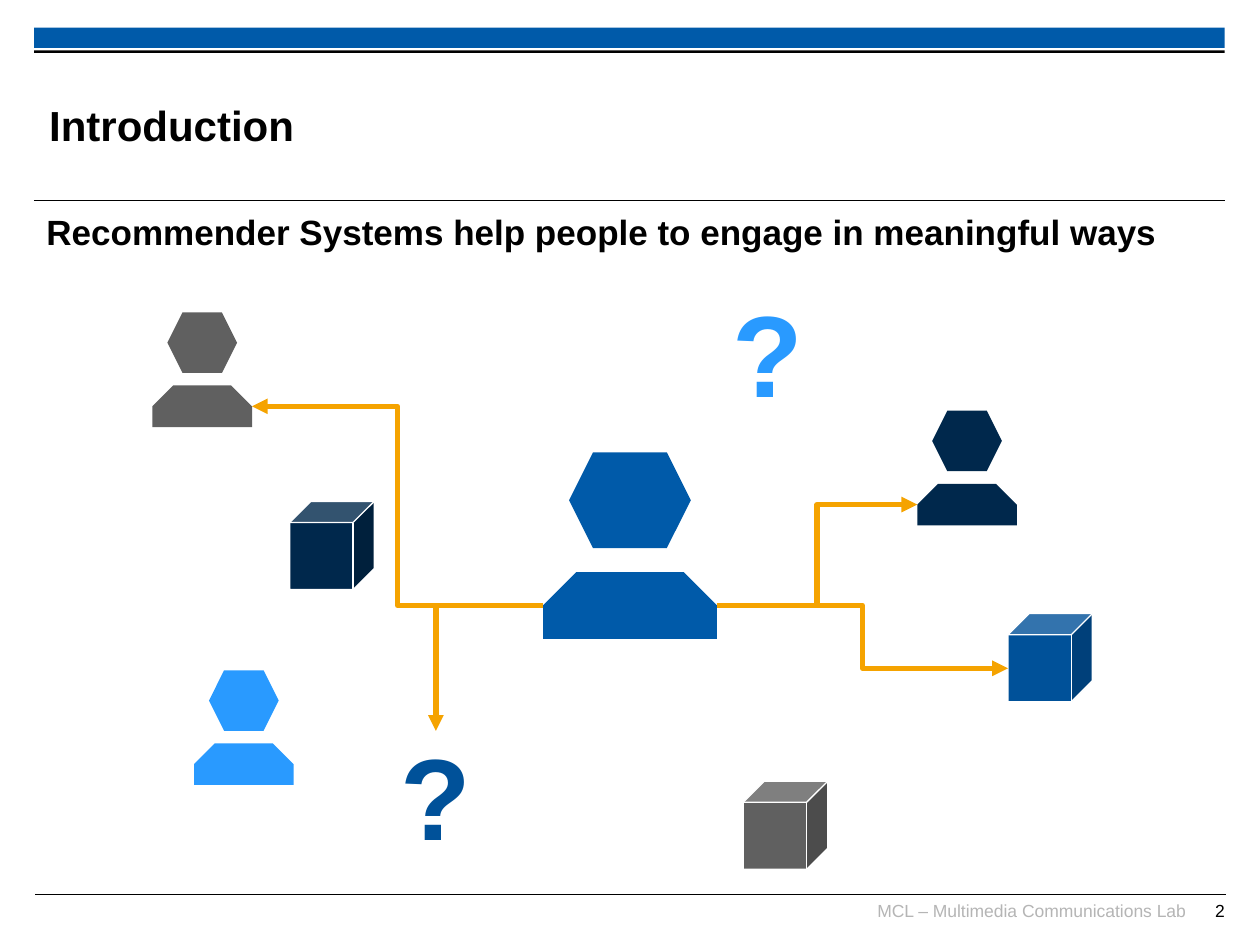
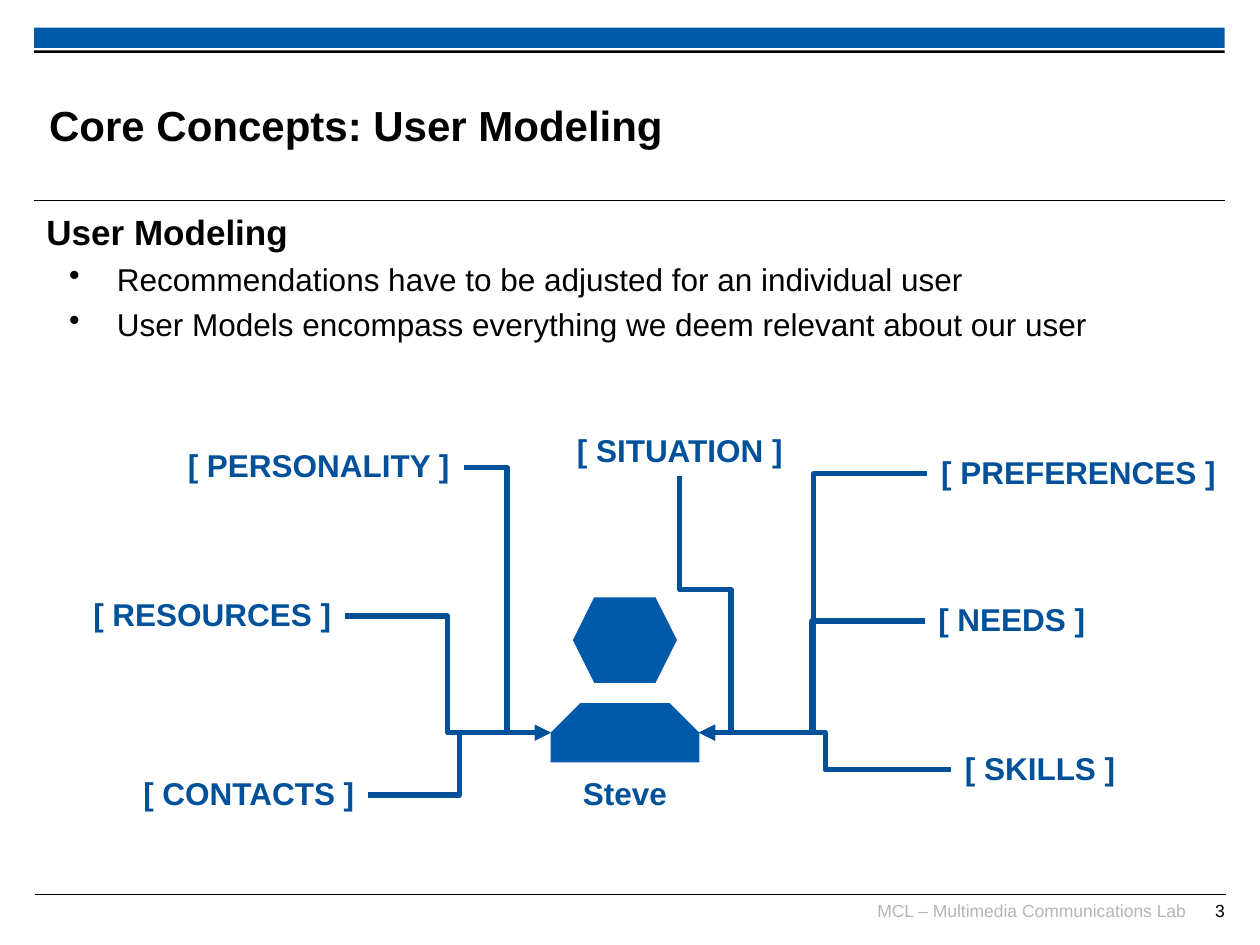
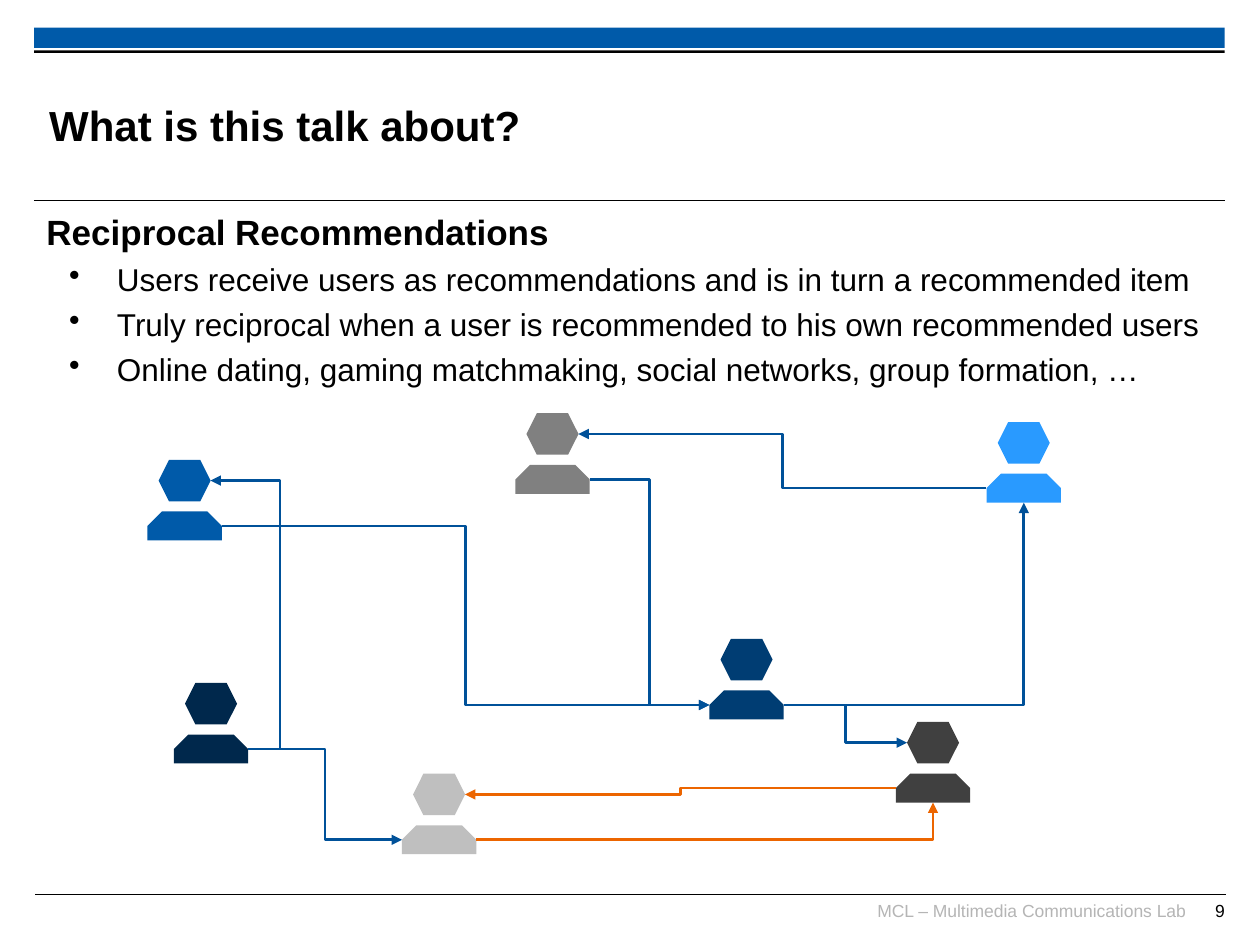
from dataclasses import dataclass
from typing import Any, NamedTuple

from pptx import Presentation
from pptx.dml.color import RGBColor as RGB
from pptx.enum.shapes import MSO_CONNECTOR as Wire, MSO_SHAPE as Form
from pptx.enum.text import MSO_ANCHOR as Anchor, MSO_AUTO_SIZE as Fit, PP_ALIGN as Align
from pptx.oxml.ns import qn
from pptx.oxml.xmlchemy import OxmlElement as Element
from pptx.util import Inches, Pt


@dataclass(frozen=True)
class Theme:
    font: str = "Arial"
    black: str = "000000"
    white: str = "FFFFFF"
    blue: str = "005AA9"
    deep: str = "005199"
    dusk: str = "003D73"
    navy: str = "00284C"
    sky: str = "299AFF"
    coal: str = "404040"
    slate: str = "606060"
    grey: str = "808080"
    silver: str = "BFBFBF"
    pale: str = "B5B5B5"
    amber: str = "F5A300"
    orange: str = "EC6500"
    title: int = 24
    lead: int = 20
    item: int = 18
    foot: int = 10
    mark: int = 66


T = Theme()


class Size(NamedTuple):
    """Width, body height, head height, and rise of the head over the body."""
    width: float
    body: float
    head: float
    rise: float


BIG = Size(1.38, 0.53, 0.76, 0.95)
MID = Size(1.18, 0.47, 0.68, 0.84)
SMALL = Size(0.79, 0.33, 0.48, 0.58)
TINY = Size(0.59, 0.23, 0.33, 0.41)


class User(NamedTuple):
    name: str
    left: float
    top: float
    size: Size
    color: str


class Cube(NamedTuple):
    name: str
    left: float
    top: float
    color: str


class Label(NamedTuple):
    text: str
    left: float
    top: float
    width: float
    height: float = 0.38
    color: str = T.deep
    size: int = T.item
    wrap: bool = False
    name: str = ""


class Link(NamedTuple):
    start: str
    exit: str
    end: str
    entry: str
    color: str = T.deep
    width: float = 1.5
    arrow: str = "tailEnd"
    bends: int = 3
    adjust: tuple[int, ...] = ()


class Node(NamedTuple):
    shape: Any
    sites: str


Nodes = dict[str, Node]

# Order of the connection sites: top, left, bottom, right
BOX, BODY, HEAD, CUBE = "tlbr", "rblt", "r--l", "--l"


def put(thing: Any, **values: Any) -> None:
    for key, value in values.items():
        setattr(thing, key, value)


def box(*lengths: float) -> list[int]:
    return [Inches(n) for n in lengths]


# Basic elements
def draw(shapes: Any, form: Any, place: list[int], color: str) -> Any:
    shape = shapes.add_shape(form, *place)
    shape.shadow.inherit = False
    shape.fill.solid()
    shape.fill.fore_color.rgb = RGB.from_string(color)
    shape.line.fill.background()
    return shape


def write(para: Any, text: str, size: int, color: str, bold: bool = False) -> None:
    run = para.add_run()
    run.text = text
    put(run.font, name=T.font, size=Pt(size), bold=bold)
    run.font.color.rgb = RGB.from_string(color)


def frame(slide: Any, place: list[int], **values: Any) -> Any:
    shape = slide.shapes.add_textbox(*place)
    put(shape.text_frame, **{"word_wrap": True, **values})
    return shape


def finish(line: Any, color: str, width: float) -> None:
    line.line.color.rgb = RGB.from_string(color)
    line.line.width = Pt(width)
    line.element.spPr.append(Element("a:effectLst"))


# Parts found on every slide
def base(deck: Any, title: str, number: str, lead: str, *items: str) -> Any:
    slide = deck.slides.add_slide(deck.slide_layouts[6])
    for left, top in ((0.28, 7.1), (0.27, 1.59)):
        rule = slide.shapes.add_connector(Wire.STRAIGHT, *box(left, top, left + 9.45, top))
        finish(rule, T.black, 0.6)
    for top, height, color in ((0.22, 0.16, T.blue), (0.4, 0.02, T.black)):
        draw(slide.shapes, Form.RECTANGLE, box(0.27, top, 9.45, height), color)

    bare = dict.fromkeys(("margin_left", "margin_top", "margin_right", "margin_bottom"), 0)
    feet = (("MCL – Multimedia Communications Lab", 6.89, 2.52, T.pale),
            (number, 9.29, 0.43, T.black))
    for text, left, width, color in feet:
        para = frame(slide, box(left, 7.14, width, 0.24), **bare).text_frame.paragraphs[0]
        para.alignment = Align.RIGHT
        write(para, text, T.foot, color)
    head = frame(slide, box(0.39, 0.53, 7.52, 0.92), vertical_anchor=Anchor.MIDDLE, **bare)
    write(head.text_frame.paragraphs[0], title, T.title, T.black, True)

    body = frame(slide, box(0.27, 1.62, 9.45, 1.51)).text_frame
    para = body.paragraphs[0]
    para.space_before = Pt(4.6)
    write(para, lead, T.lead, T.black, True)
    for item in items:
        para = body.add_paragraph()
        put(para, level=1, space_before=Pt(4.2))
        write(para, item, T.item, T.black)
        props = para._p.get_or_add_pPr()
        props.set("marL", str(Inches(0.56)))
        props.set("indent", str(Inches(-0.38)))
        dot = Element("a:buChar")
        dot.set("char", "•")
        props.append(dot)
    return slide


# Diagram elements
def add_user(slide: Any, user: User, nodes: Nodes) -> None:
    wide, body, head, rise = user.size
    group = slide.shapes.add_group_shape().shapes
    trunk = draw(group, Form.SNIP_2_SAME_RECTANGLE,
                 box(user.left, user.top, wide, body), user.color)
    trunk.adjustments[0] = 0.5
    trunk.adjustments[1] = 0
    face = draw(group, Form.HEXAGON,
                box(user.left + 0.15 * wide, user.top - rise, 0.7 * wide, head), user.color)
    nodes[user.name] = Node(trunk, BODY)
    nodes[user.name + " head"] = Node(face, HEAD)


def add_cube(slide: Any, cube: Cube, nodes: Nodes) -> None:
    shape = draw(slide.shapes, Form.CUBE, box(cube.left, cube.top, 0.67, 0.7), cube.color)
    shape.line.color.rgb = RGB.from_string(T.white)
    shape.line.width = Pt(0.75)
    nodes[cube.name] = Node(shape, CUBE)


def add_label(slide: Any, label: Label, nodes: Nodes) -> None:
    shape = frame(slide, box(label.left, label.top, label.width, label.height),
                  word_wrap=label.wrap, auto_size=Fit.SHAPE_TO_FIT_TEXT)
    para = shape.text_frame.paragraphs[0]
    put(para, alignment=Align.CENTER, line_spacing=0.93)
    write(para, label.text, label.size, label.color, True)
    nodes[label.name or label.text] = Node(shape, BOX)


def point(node: Node, side: str) -> tuple[int, int]:
    shape = node.shape
    across = {"l": 0, "r": 1}.get(side, 0.5)
    down = {"t": 0, "b": 1}.get(side, 0.5)
    shift = shape.width // 8 if node.sites == CUBE else 0
    return (int(shape.left + across * shape.width),
            int(shape.top + down * shape.height) + shift)


def add_link(slide: Any, link: Link, nodes: Nodes) -> None:
    start, end = nodes[link.start], nodes[link.end]
    (x1, y1), (x2, y2) = point(start, link.exit), point(end, link.entry)
    wire = slide.shapes.add_connector(Wire.ELBOW, x1, y1, x2, y2)
    wire.begin_connect(start.shape, start.sites.index(link.exit))
    wire.end_connect(end.shape, end.sites.index(link.entry))
    put(wire, begin_x=x1, begin_y=y1, end_x=x2, end_y=y2)
    finish(wire, link.color, link.width)

    props = wire.element.spPr
    tip = Element("a:" + link.arrow)
    tip.set("type", "triangle")
    props.find(qn("a:ln")).append(tip)
    shape = props.find(qn("a:prstGeom"))
    shape.set("prst", f"bentConnector{link.bends}")
    for pos, value in enumerate(link.adjust, 1):
        guide = Element("a:gd")
        guide.set("name", f"adj{pos}")
        guide.set("fmla", f"val {value}")
        shape.find(qn("a:avLst")).append(guide)


MAKERS = {User: add_user, Cube: add_cube, Label: add_label, Link: add_link}


def fill(slide: Any, *parts: Any) -> None:
    nodes: Nodes = {}
    for part in parts:
        MAKERS[type(part)](slide, part, nodes)


# Slides
def intro(deck: Any) -> None:
    slide = base(deck, "Introduction", "2",
                 "Recommender Systems help people to engage in meaningful ways")
    mark = {"width": 0.94, "height": 1.13, "size": T.mark, "wrap": True}
    style = {"color": T.amber, "width": 3}
    fill(slide,
         User("me", 4.31, 4.54, BIG, T.blue),
         User("right", 7.28, 3.84, SMALL, T.navy),
         User("low", 1.54, 5.9, SMALL, T.sky),
         User("left", 1.21, 3.06, SMALL, T.slate),
         Cube("blue", 8, 4.87, T.deep),
         Cube("grey", 5.9, 6.2, T.slate),
         Cube("navy", 2.3, 3.98, T.navy),
         Label("?", 5.62, 2.29, color=T.sky, name="high mark", **mark),
         Label("?", 2.99, 5.8, name="low mark", **mark),
         Link("me", "r", "blue", "l", **style),
         Link("me", "r", "right", "l", **style),
         Link("me", "l", "low mark", "t", bends=2, **style),
         Link("me", "l", "left", "r", **style))


def model(deck: Any) -> None:
    slide = base(deck, "Core Concepts: User Modeling", "3", "User Modeling",
                 "Recommendations have to be adjusted for an individual user",
                 "User Models encompass everything we deem relevant about our user")
    right = (Label("[ PREFERENCES ]", 7.36, 3.57, 2.4),
             Label("[ NEEDS ]", 7.34, 4.74, 1.38),
             Label("[ SKILLS ]", 7.55, 5.92, 1.41))
    left = (Label("[ PERSONALITY ]", 1.38, 3.52, 2.3),
            Label("[ RESOURCES ]", 0.63, 4.7, 2.11),
            Label("[ CONTACTS ]", 1.03, 6.12, 1.89))
    above = Label("[ SITUATION ]", 4.47, 3.4, 1.85)
    style = {"width": 3, "arrow": "headEnd"}
    fill(slide,
         User("user", 4.37, 5.58, MID, T.blue),
         *right, *left, above, Label("Steve", 4.52, 6.12, 0.88),
         *(Link("user", "r", label.text, "l", **style) for label in right),
         *(Link("user", "l", label.text, "r", **style) for label in left),
         Link("user", "r", above.text, "b", bends=4, adjust=(-163300, 55800), **style))


def talk(deck: Any) -> None:
    slide = base(deck, "What is this talk about?", "9", "Reciprocal Recommendations",
                 "Users receive users as recommendations and is in turn a recommended item",
                 "Truly reciprocal when a user is recommended to his own recommended users",
                 "Online dating, gaming matchmaking, social networks, group formation, …")
    fill(slide,
         User("blue", 1.17, 4.06, TINY, T.blue),
         User("coal", 7.11, 6.14, TINY, T.coal),
         User("sky", 7.83, 3.76, TINY, T.sky),
         User("navy", 1.38, 5.83, TINY, T.navy),
         User("silver", 3.19, 6.55, TINY, T.silver),
         User("grey", 4.09, 3.69, TINY, T.grey),
         User("dusk", 5.63, 5.48, TINY, T.dusk),
         Link("blue", "r", "dusk", "l"),
         Link("navy", "r", "silver", "l"),
         Link("grey", "r", "dusk", "l"),
         Link("sky", "l", "grey head", "r"),
         Link("navy", "r", "blue head", "r", adjust=(-84700,)),
         Link("silver", "r", "coal", "b", T.orange, bends=2),
         Link("dusk", "r", "coal head", "l"),
         Link("dusk", "r", "sky", "b", bends=2),
         Link("coal", "l", "silver head", "r", T.orange))


def main() -> None:
    deck = Presentation()
    put(deck, slide_width=Inches(10), slide_height=Inches(7.5))
    for build in (intro, model, talk):
        build(deck)
    deck.save("out.pptx")


if __name__ == "__main__":
    main()
